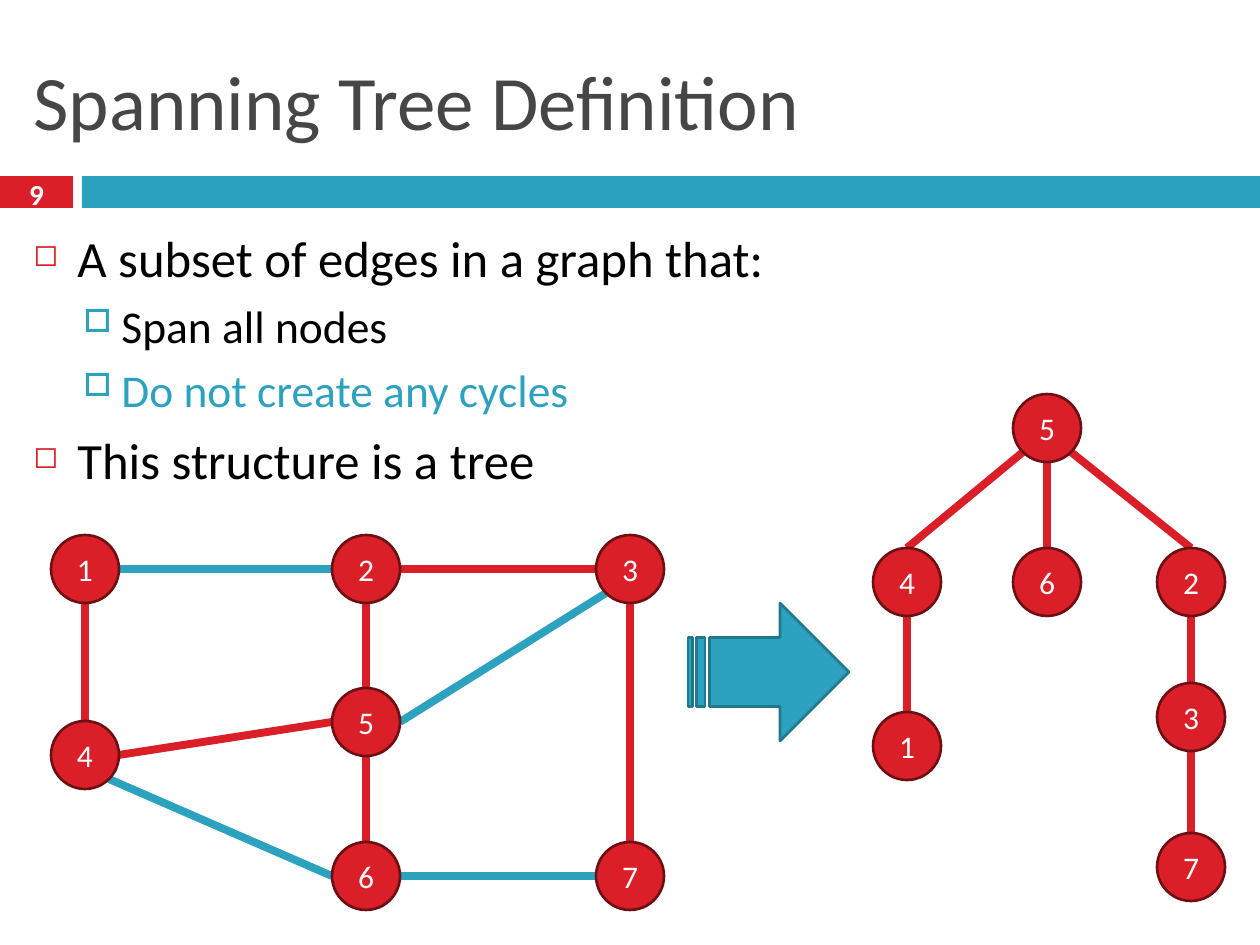
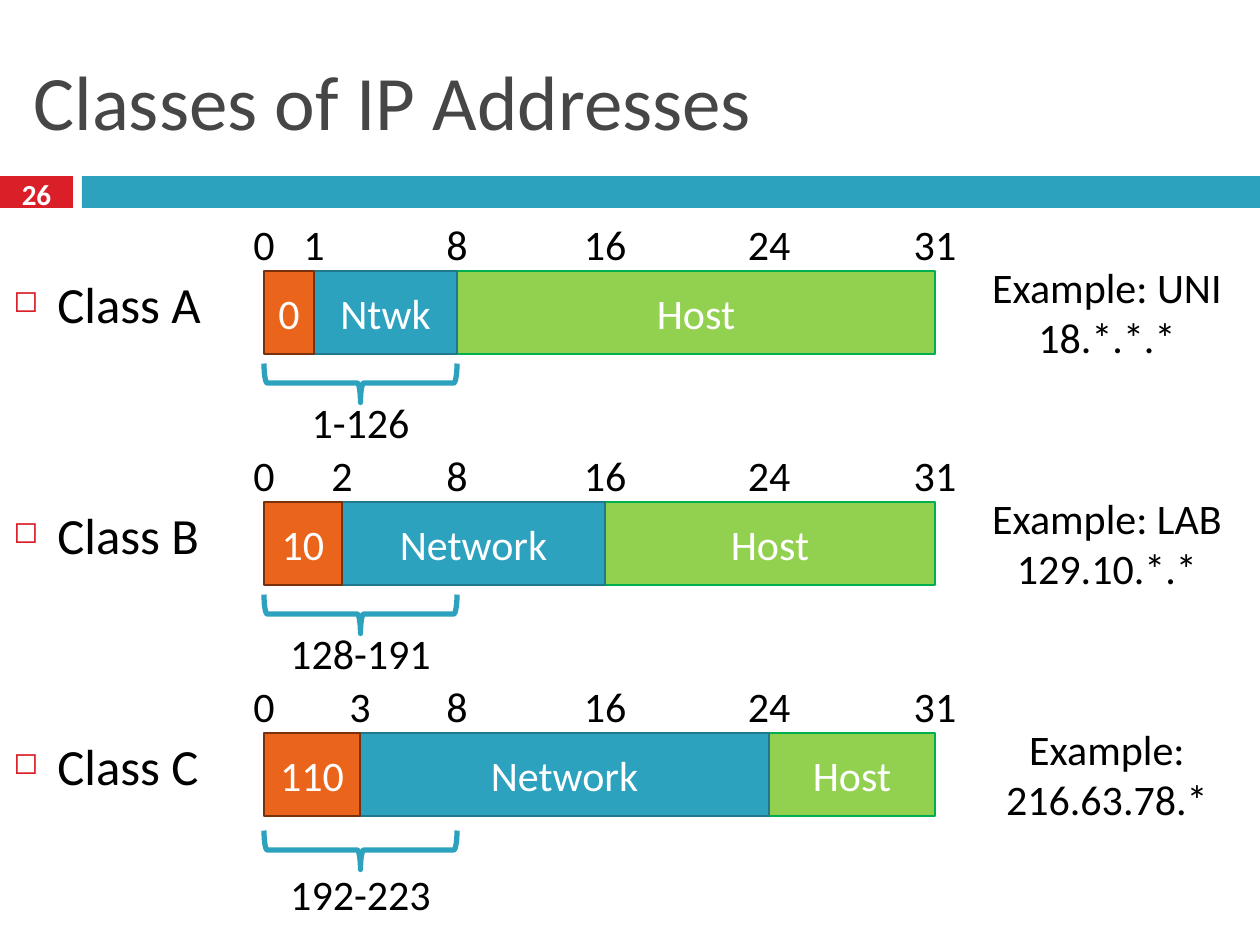
from dataclasses import dataclass
from typing import NamedTuple

from lxml import etree
from pptx import Presentation
from pptx import util as u
from pptx.dml.color import RGBColor
from pptx.enum import shapes, text
from pptx.oxml.ns import qn

SCALE = 914400 / 126  # EMU per pixel
FONT = "Calibri"

RED = RGBColor(0xDA, 0x1F, 0x28)
DARK_RED = RGBColor(0x6D, 0x10, 0x14)
TEAL = RGBColor(0x2D, 0xA2, 0xBF)
DARK_TEAL = RGBColor(0x21, 0x78, 0x8D)
ORANGE = RGBColor(0xEB, 0x64, 0x1B)
BROWN = RGBColor(0x78, 0x31, 0x0B)
LIME = RGBColor(0x92, 0xD0, 0x50)
GREEN = RGBColor(0x00, 0xB0, 0x50)
GREY = RGBColor(0x46, 0x46, 0x46)
BLACK = RGBColor(0, 0, 0)
WHITE = RGBColor(0xFF, 0xFF, 0xFF)

Shape = shapes.MSO_SHAPE
LEFT, CENTER = text.PP_ALIGN.LEFT, text.PP_ALIGN.CENTER
TOP, MIDDLE = text.MSO_ANCHOR.TOP, text.MSO_ANCHOR.MIDDLE


class Area(NamedTuple):
    left: float
    top: float
    width: float
    height: float

    def emu(self) -> list[u.Emu]:
        return [px(value) for value in self]


class Bullet(NamedTuple):
    char: str
    color: RGBColor
    percent: int
    margin: int
    hang: int
    size: float
    before: float


OUTER = Bullet("\u25fb", RED, 60, 44, 44, 29, 7)
INNER = Bullet("\u25a1", TEAL, 70, 88, 38, 26, 5.5)


@dataclass
class Item:
    words: str
    bullet: Bullet = OUTER
    color: RGBColor = BLACK


class Edge(NamedTuple):
    start: str
    start_side: str
    end: str
    end_side: str
    color: RGBColor = RED


class Segment(NamedTuple):
    words: str
    first: int
    last: int
    fill: RGBColor
    line: RGBColor


@dataclass
class AddressClass:
    name: str
    prefix: str
    network: str
    bits: tuple[int, int]  # where the network part and the host part begin
    span: str
    example: tuple[str, str]
    brace_drop: int = 112
    span_drop: int = 119


def px(value: float) -> u.Emu:
    return u.Emu(round(value * SCALE))


# ---- drawing helpers ----
def write(para, words: str, size: float, color: RGBColor, bold: bool = False) -> None:
    span = para.add_run()
    span.text = words
    span.font.color.rgb = color
    for name, value in {"name": FONT, "size": u.Pt(size), "bold": bold}.items():
        setattr(span.font, name, value)


def add_text(page, area: Area, lines: tuple[str, ...], size: float, color: RGBColor = BLACK,
             align=CENTER, anchor=MIDDLE, bold: bool = False, wrap: bool = True) -> None:
    frame = page.shapes.add_textbox(*area.emu()).text_frame
    frame.word_wrap, frame.vertical_anchor = wrap, anchor
    for index, words in enumerate(lines):
        para = frame.add_paragraph() if index else frame.paragraphs[0]
        para.alignment = align
        write(para, words, size, color, bold)


def add_list(page, area: Area, items: list[Item]) -> None:
    frame = page.shapes.add_textbox(*area.emu()).text_frame
    frame.word_wrap = True
    for index, item in enumerate(items):
        para = frame.add_paragraph() if index else frame.paragraphs[0]
        bullet = item.bullet
        para.space_before = u.Pt(bullet.before)
        props = para._p.get_or_add_pPr()
        props.set("marL", str(px(bullet.margin)))
        props.set("indent", str(-px(bullet.hang)))
        tint = etree.SubElement(props, qn("a:buClr"))
        etree.SubElement(tint, qn("a:srgbClr")).set("val", str(bullet.color))
        etree.SubElement(props, qn("a:buSzPct")).set("val", str(bullet.percent * 1000))
        etree.SubElement(props, qn("a:buChar")).set("char", bullet.char)
        write(para, item.words, bullet.size, item.color)


def add_shape(page, kind, area: Area, fill: RGBColor | None, line: RGBColor | None = None,
              width: float = 1.5, words: str = "", size: float = 18):
    box = page.shapes.add_shape(kind, *area.emu())
    box.shadow.inherit = False
    if fill is None:
        box.fill.background()
    else:
        box.fill.solid()
        box.fill.fore_color.rgb = fill
    if line is None:
        box.line.fill.background()
    else:
        box.line.color.rgb = line
        box.line.width = u.Pt(width)
    if words:
        box.text_frame.vertical_anchor = MIDDLE
        para = box.text_frame.paragraphs[0]
        para.alignment = CENTER
        write(para, words, size, WHITE)
    return box


def add_page(deck, title: str, number: int):
    page = deck.slides.add_slide(deck.slide_layouts[6])
    add_shape(page, Shape.RECTANGLE, Area(0, 176, 73, 32), RED)
    add_shape(page, Shape.RECTANGLE, Area(82, 176, 1178, 32), TEAL)
    add_text(page, Area(21, 32, 1218, 136), (title,), 44, GREY, LEFT)
    add_text(page, Area(0, 173, 73, 42), (str(number),), 16.6, WHITE, bold=True)
    return page


# ---- graphs ----
NODE = 68
DIAGONAL = 0.71
SIDES = {"N": (0, -1), "S": (0, 1), "E": (1, 0), "W": (-1, 0),
         "SE": (DIAGONAL, DIAGONAL), "SW": (-DIAGONAL, DIAGONAL)}


def add_graph(page, nodes: dict[str, tuple[int, int]], edges: list[Edge]) -> None:
    def site(node: str, side: str) -> list[u.Emu]:
        return [px(middle + step * NODE / 2) for middle, step in zip(nodes[node], SIDES[side])]

    for edge in edges:
        link = page.shapes.add_connector(shapes.MSO_CONNECTOR.STRAIGHT,
                                         *site(edge.start, edge.start_side),
                                         *site(edge.end, edge.end_side))
        link.line.color.rgb = edge.color
        link.line.width = u.Pt(4.5)
        etree.SubElement(link._element.spPr, qn("a:effectLst"))
    for label, (x, y) in nodes.items():
        add_shape(page, Shape.OVAL, Area(x - NODE / 2, y - NODE / 2, NODE, NODE),
                  RED, DARK_RED, words=label)


GRAPH_NODES = {"1": (85, 569), "4": (85, 755), "2": (366, 569), "5": (366, 722),
               "6": (366, 876), "3": (630, 569), "7": (630, 876)}
GRAPH_EDGES = [
    Edge("1", "E", "2", "W", TEAL), Edge("5", "E", "3", "SW", TEAL),
    Edge("6", "E", "7", "W", TEAL), Edge("4", "SE", "6", "W", TEAL),
    Edge("2", "E", "3", "W"), Edge("2", "S", "5", "N"), Edge("5", "S", "6", "N"),
    Edge("3", "S", "7", "N"), Edge("1", "S", "4", "N"), Edge("4", "E", "5", "W"),
]
TREE_NODES = {"5": (1047, 428), "4": (907, 582), "6": (1047, 582), "2": (1191, 582),
              "1": (907, 746), "3": (1191, 717), "7": (1191, 867)}
TREE_EDGES = [
    Edge("5", "SW", "4", "N"), Edge("5", "S", "6", "N"), Edge("5", "SE", "2", "N"),
    Edge("4", "S", "1", "N"), Edge("2", "S", "3", "N"), Edge("3", "S", "7", "N"),
]

# ---- address classes ----
BIT_X = {0: 264, 1: 314, 2: 342, 3: 360, 8: 457, 16: 605, 24: 769, 31: 935}
BAR_TOP, BAR_HEIGHT, ROW_STEP = 271, 83, 231
BRACE = 39
EXAMPLE_X = 1107
CLASSES = [
    AddressClass("Class A", "0", "Ntwk", (1, 8), "1-126", ("Example: UNI", "18.*.*.*")),
    AddressClass("Class B", "10", "Network", (2, 16), "128-191", ("Example: LAB", "129.10.*.*")),
    AddressClass("Class C", "110", "Network", (3, 24), "192-223", ("Example:", "216.63.78.*"),
                 117, 129),
]


def add_class(page, row: AddressClass, top: int) -> None:
    add_list(page, Area(1, top - 4, 254, 74), [Item(row.name)])
    network, host = row.bits
    # Bar, drawn from the host part back to the prefix
    for part in (Segment("Host", host, 31, LIME, GREEN),
                 Segment(row.network, network, host, TEAL, DARK_TEAL),
                 Segment(row.prefix, 0, network, ORANGE, BROWN)):
        left, right = BIT_X[part.first], BIT_X[part.last]
        add_shape(page, Shape.RECTANGLE, Area(left, top, right - left, BAR_HEIGHT),
                  part.fill, part.line, words=part.words, size=24)
    # Bit numbers above the bar
    for bit in (0, network, *(n for n in (8, 16, 24) if n != network), 31):
        add_text(page, Area(BIT_X[bit] - 41, top - 69, 82, 83), (str(bit),), 24)
    # Brace under the first octet, with its range
    width = BIT_X[8] - BIT_X[0]
    middle = BIT_X[0] + width / 2
    brace = add_shape(page, Shape.LEFT_BRACE,
                      Area(middle - BRACE / 2, top + row.brace_drop - width / 2, BRACE, width),
                      None, TEAL, 3)
    brace.rotation = 270
    add_text(page, Area(middle - 91, top + row.span_drop, 182, 63), (row.span,), 24,
             anchor=TOP, wrap=False)
    add_text(page, Area(EXAMPLE_X - 150, top - 16, 300, 115), row.example, 24,
             anchor=TOP, wrap=False)


def main() -> None:
    deck = Presentation()
    deck.slide_width, deck.slide_height = px(1260), px(945)

    # Spanning tree
    page = add_page(deck, "Spanning Tree Definition", 9)
    add_list(page, Area(21, 221, 1218, 289), [
        Item("A subset of edges in a graph that:"),
        Item("Span all nodes", INNER),
        Item("Do not create any cycles", INNER, TEAL),
        Item("This structure is a tree"),
    ])
    add_graph(page, GRAPH_NODES, GRAPH_EDGES)
    add_graph(page, TREE_NODES, TREE_EDGES)
    add_shape(page, Shape.STRIPED_RIGHT_ARROW, Area(688, 603, 161, 138), TEAL, DARK_TEAL)

    # Address classes
    page = add_page(deck, "Classes of IP Addresses", 26)
    for index, row in enumerate(CLASSES):
        add_class(page, row, BAR_TOP + index * ROW_STEP)

    deck.save("out.pptx")


main()
